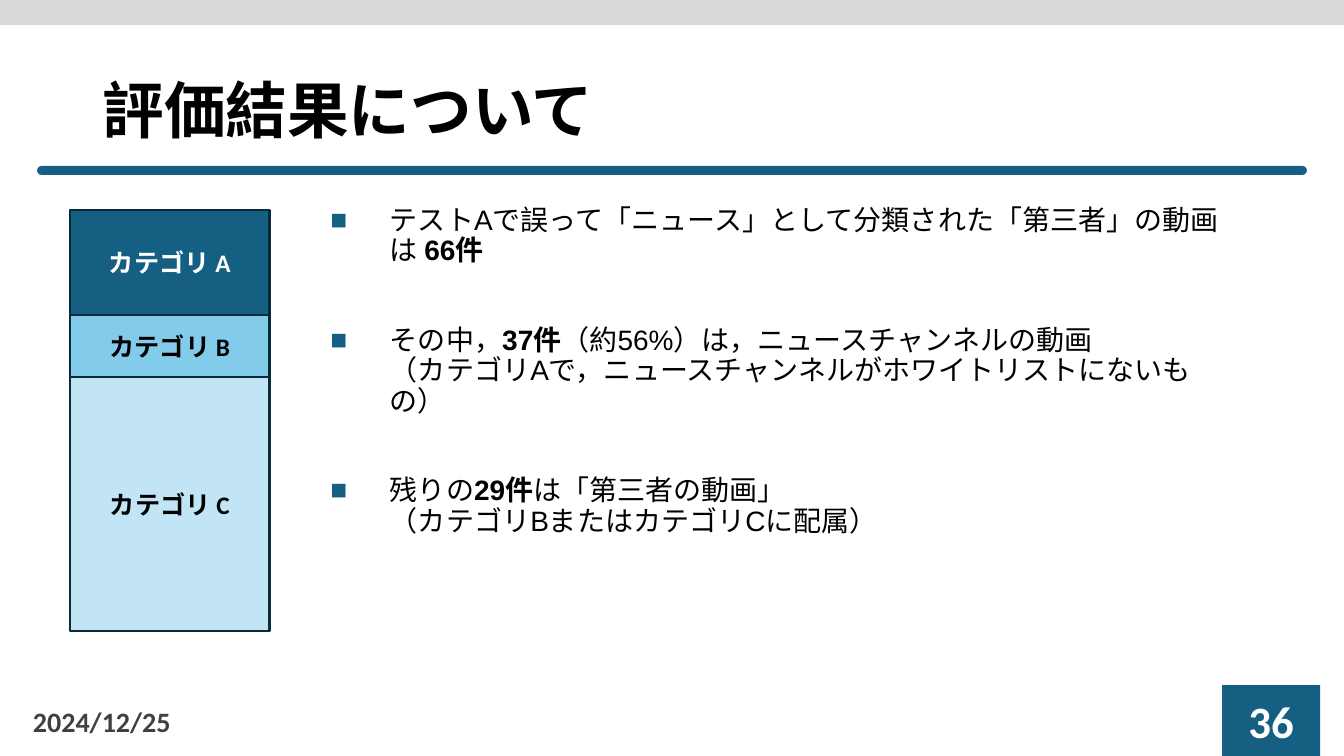
from pptx import Presentation
from pptx.dml.color import RGBColor
from pptx.enum.shapes import MSO_SHAPE as Shp
from pptx.enum.text import MSO_ANCHOR as Anc, MSO_AUTO_SIZE as Fit, PP_ALIGN as Al
from pptx.oxml.ns import qn
from pptx.util import Pt
from lxml.etree import SubElement as Sub

BLUE, EDGE = "156082", "092A39"
BARS = [
    ("カテゴリ A", 75, BLUE, "FFFFFF"),
    ("カテゴリ B", 44.5, "83CBEB", "000000"),
    ("カテゴリ C", 181, "C1E5F5", "000000"),
]
POINTS = [
    [("テストAで誤って「ニュース」として分類された「第三者」の動画は ", False),
     ("66件", True)],
    [("その中，", False), ("37件", True),
     ("（約56%）は，ニュースチャンネルの動画\n"
      "（カテゴリAで，ニュースチャンネルがホワイトリストにないもの）", False)],
    [("残りの", False), ("29件", True),
     ("は「第三者の動画」\n（カテゴリBまたはカテゴリCに配属）", False)],
]


def tint(code):
    """Return the colour for a hex string."""
    return RGBColor.from_string(code)


def write(par, text, size, color="000000", bold=True, face="Calibri"):
    """Add text to a paragraph, one run per line."""
    for i, line in enumerate(text.split("\n")):
        if i:
            par.add_line_break()
        run = par.add_run()
        run.text = line
        font = run.font
        font.size, font.bold, font.name = Pt(size), bold, face
        font.color.rgb = tint(color)


def block(slide, box, fill, edge=None, kind=Shp.RECTANGLE):
    """Draw a flat filled shape."""
    shape = slide.shapes.add_shape(kind, *map(Pt, box))
    shape.shadow.inherit = False
    shape.fill.solid()
    shape.fill.fore_color.rgb = tint(fill)
    if edge:
        shape.line.color.rgb = tint(edge)
        shape.line.width = Pt(1.5)
    else:
        shape.line.fill.background()
    return shape


def label(shape, text, size, color):
    """Centre a bold label in a shape."""
    frame = shape.text_frame
    frame.vertical_anchor = Anc.MIDDLE
    par = frame.paragraphs[0]
    par.alignment = Al.CENTER
    write(par, text, size, color)


def header(slide, box):
    """Place the top band, the title and the rule below it."""
    x, y, w, h = box
    block(slide, (x, y - 1.5, w, 19.5), "D9D9D9")
    title = slide.shapes.title
    title.left, title.top = Pt(x + 66), Pt(y + 29)
    title.width, title.height = Pt(w - 132), Pt(104)
    frame = title.text_frame
    frame.auto_size, frame.vertical_anchor = Fit.NONE, Anc.MIDDLE
    par = frame.paragraphs[0]
    par.alignment, par.line_spacing = Al.LEFT, 0.9
    write(par, "評価結果について", 44, face="Arial")
    rule = block(slide, (x + 26.5, y + h - 6.5, w - 53, 6.5), BLUE,
                 kind=Shp.ROUNDED_RECTANGLE)
    rule.adjustments[0] = 0.5


def stack(slide, box):
    """Stack the category bars from the top of the box."""
    x, y, w = box
    for text, tall, fill, color in BARS:
        label(block(slide, (x, y, w, tall), fill, EDGE), text, 18, color)
        y += tall


def bullet(par):
    """Give a paragraph a hanging square bullet."""
    props = par._p.get_or_add_pPr()
    props.set("marL", str(Pt(42.5)))
    props.set("indent", str(-Pt(42.5)))
    Sub(Sub(props, qn("a:buClr")), qn("a:srgbClr")).set("val", BLUE)
    Sub(props, qn("a:buFont")).set("typeface", "Arial")
    Sub(props, qn("a:buChar")).set("char", "■")


def points(slide, box):
    """List the findings as bullets."""
    frame = slide.shapes.add_textbox(*map(Pt, box)).text_frame
    frame.word_wrap = True
    for i, runs in enumerate(POINTS):
        par = frame.add_paragraph() if i else frame.paragraphs[0]
        par.line_spacing = 0.9
        if i:
            par.space_before = Pt(42.5)
        bullet(par)
        for text, bold in runs:
            write(par, text, 20, bold=bold, face="Arial")


def footer(slide, box):
    """Place the date at the left and the page number at the right."""
    x, y, w, h = box
    frame = slide.shapes.add_textbox(
        Pt(x + 16.5), Pt(y + 11), Pt(216), Pt(29)).text_frame
    frame.word_wrap, frame.vertical_anchor = True, Anc.MIDDLE
    write(frame.paragraphs[0], "2024/12/25", 20, "404040")
    page = block(slide, (x + w - 87, y, 70, h), BLUE)
    label(page, "36", 32, "FFFFFF")


def main():
    """Build and save the slide."""
    deck = Presentation()
    deck.slide_width, deck.slide_height = Pt(960), Pt(540)
    slide = deck.slides.add_slide(deck.slide_layouts[5])
    header(slide, (0, 0, 960, 125))
    points(slide, (229, 144, 665, 343))
    footer(slide, (0, 489.5, 960, 50.5))
    stack(slide, (50, 150, 142.5))
    deck.save("out.pptx")


if __name__ == "__main__":
    main()
